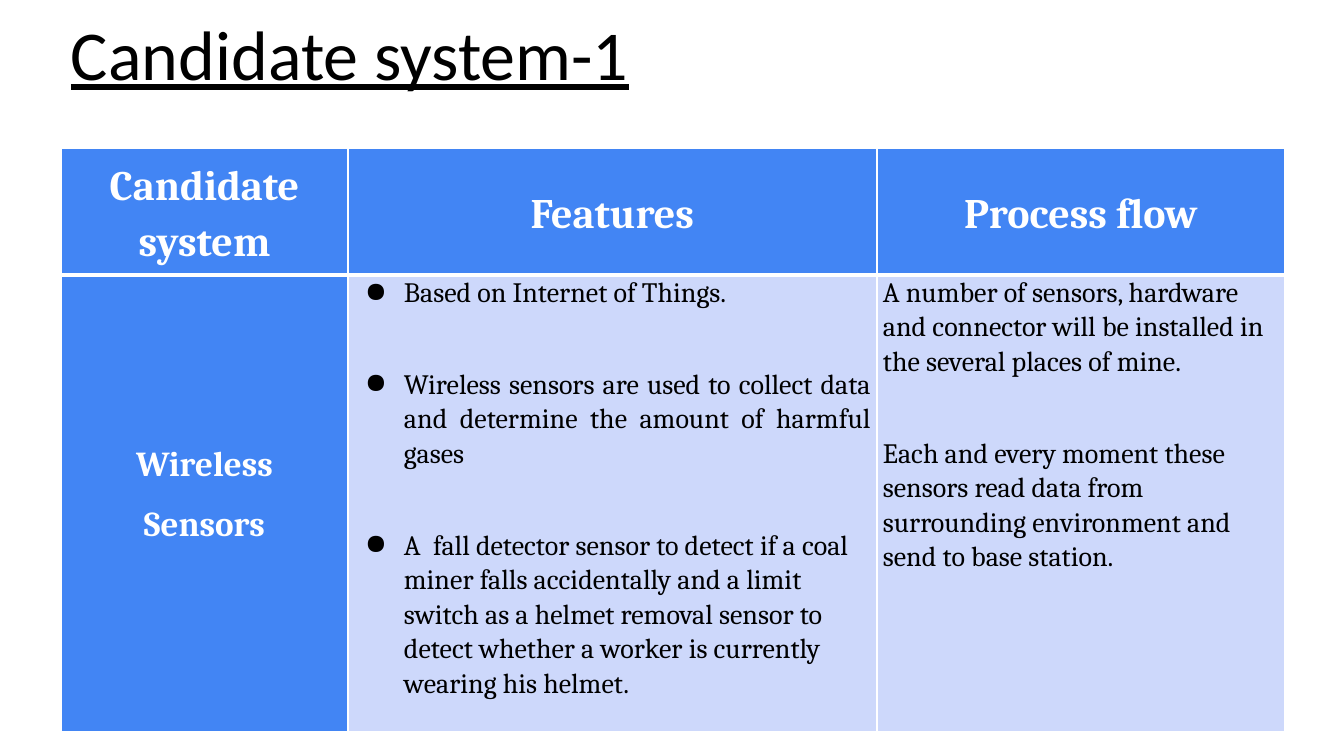
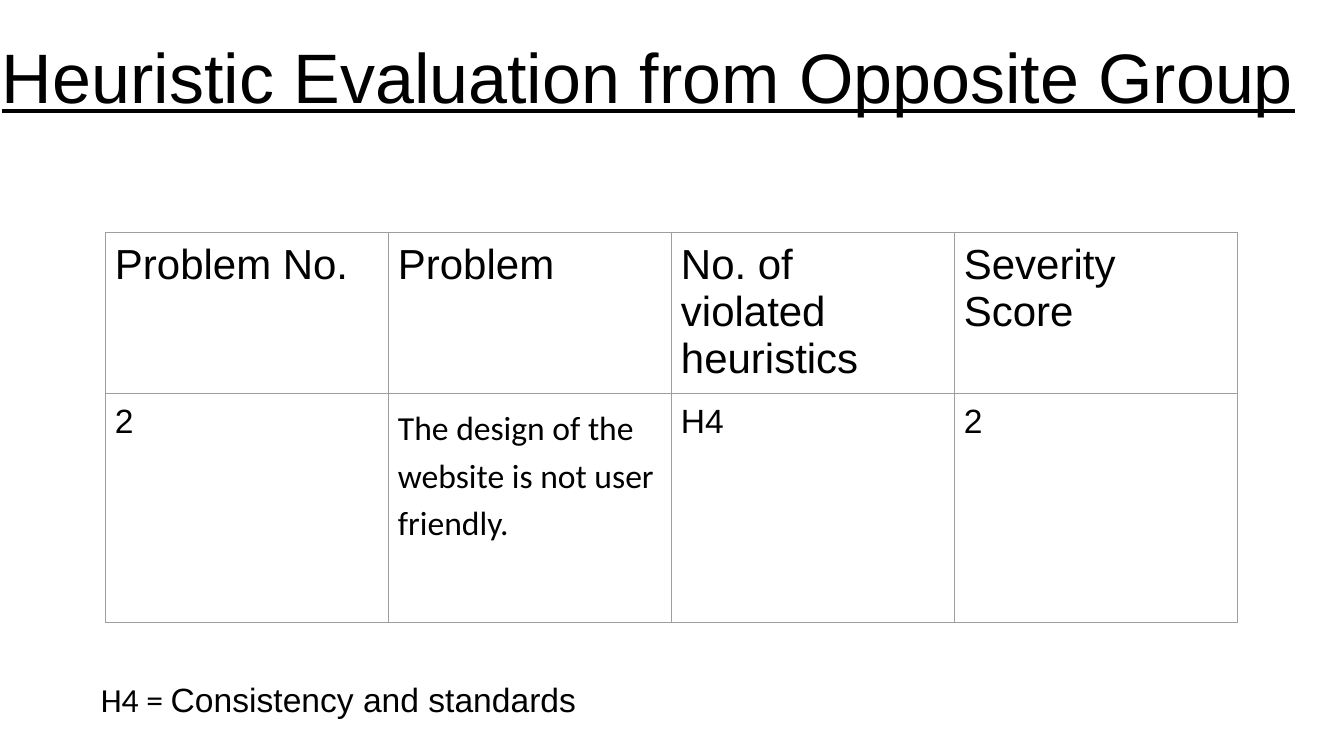
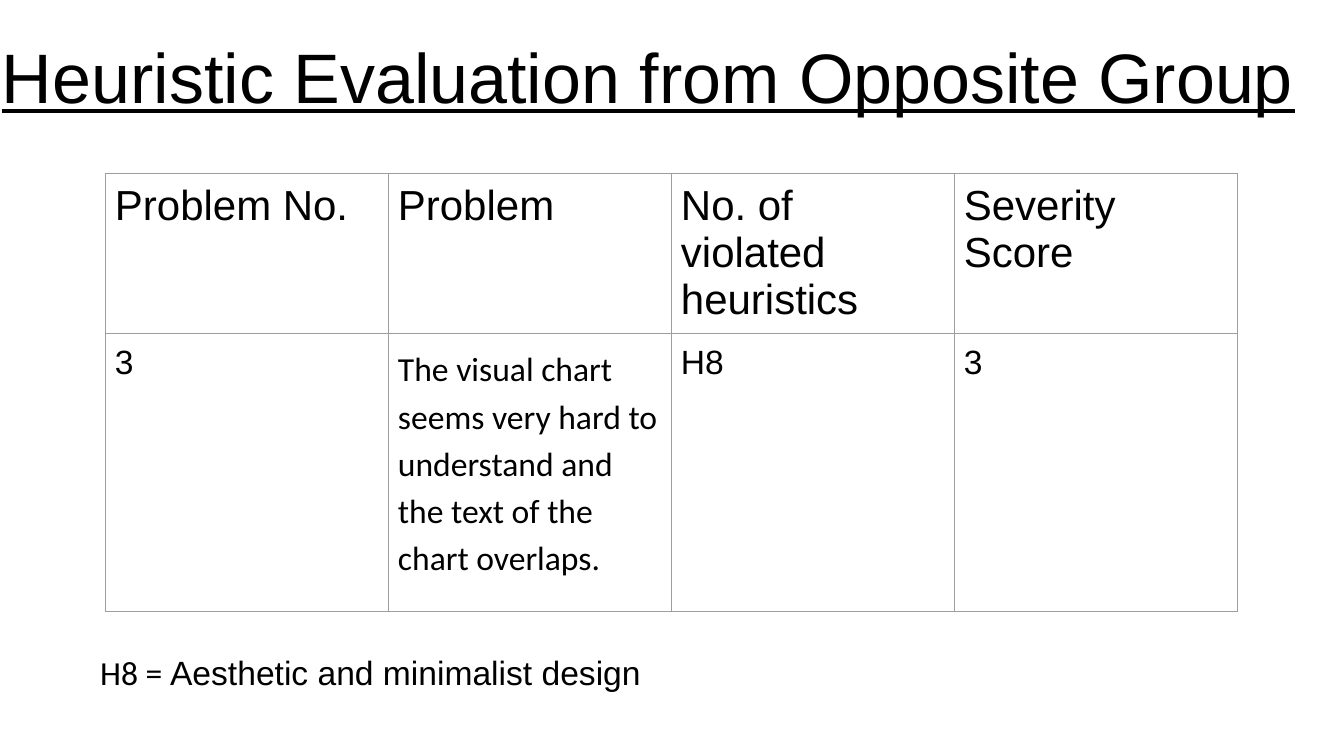
from dataclasses import dataclass

from lxml.etree import SubElement
from pptx import Presentation
from pptx.dml.color import RGBColor
from pptx.enum.text import MSO_ANCHOR, MSO_AUTO_SIZE, PP_ALIGN
from pptx.oxml.ns import qn
from pptx.util import Emu, Pt

WIDE, HIGH = 1344, 756
SCALE = 12192000 / WIDE
COLORS = {
    "black": "000000",
    "white": "FFFFFF",
    "blue": "4285F4",
    "pale": "CDD8FB",
    "gray": "9E9E9E",
}
LEFT, MID, JUST = PP_ALIGN.LEFT, PP_ALIGN.CENTER, PP_ALIGN.JUSTIFY


@dataclass(frozen=True)
class Run:
    text: str
    size: int
    font: str = "Arial"
    color: str = "black"
    bold: bool = False
    under: bool = False


@dataclass(frozen=True)
class Para:
    runs: tuple[Run, ...]
    align: PP_ALIGN = LEFT
    line: float = 1.0
    before: int = 0
    bullet: bool = False


@dataclass(frozen=True)
class Cell:
    paras: tuple[Para, ...]
    fill: str = ""
    anchor: MSO_ANCHOR = MSO_ANCHOR.TOP
    foot: int = 0


@dataclass(frozen=True)
class Edge:
    color: str
    width: float


@dataclass(frozen=True)
class Grid:
    left: int
    top: int
    cols: tuple[int, ...]
    rows: tuple[int, ...]
    pad: tuple[int, int]
    edge: Edge
    rule: Edge  # line under the header row


@dataclass(frozen=True)
class Issue:
    num: str
    text: str
    code: str
    score: str
    name: str
    top: int
    depth: int
    note: tuple[int, int, int, int]


def px(num: int) -> Emu:
    return Emu(round(num * SCALE))


def tint(key: str) -> RGBColor:
    return RGBColor.from_string(COLORS[key])


# Text
def add_dot(para) -> None:
    props = para._p.get_or_add_pPr()
    props.set("marL", str(px(50)))
    props.set("indent", str(px(-39)))
    color = SubElement(props, qn("a:buClr"))
    SubElement(color, qn("a:srgbClr")).set("val", COLORS["black"])
    SubElement(props, qn("a:buChar")).set("char", "●")


def write(frame, paras: tuple[Para, ...]) -> None:
    for i, item in enumerate(paras):
        para = frame.paragraphs[0] if i == 0 else frame.add_paragraph()
        if item.bullet:
            add_dot(para)
        para.alignment = item.align
        para.line_spacing = item.line
        para.space_before = Pt(item.before)
        for part in item.runs:
            run = para.add_run()
            run.text = part.text
            font = run.font
            font.name, font.size = part.font, Pt(part.size)
            font.bold, font.underline = part.bold, part.under
            font.color.rgb = tint(part.color)


def set_box(frame, pad: tuple[int, int], anchor: MSO_ANCHOR) -> None:
    frame.word_wrap = True
    frame.auto_size = MSO_AUTO_SIZE.NONE
    frame.vertical_anchor = anchor
    frame.margin_left = frame.margin_right = px(pad[0])
    frame.margin_top = frame.margin_bottom = px(pad[1])


def add_page(deck, text: str, font: str, box: tuple[int, int, int, int],
             anchor: MSO_ANCHOR):
    slide = deck.slides.add_slide(deck.slide_layouts[5])
    title = slide.shapes.title
    title.left, title.top, title.width, title.height = map(px, box)
    set_box(title.text_frame, (10, 5), anchor)
    write(title.text_frame, (Para((Run(text, 50, font, under=True),)),))
    return slide


# Tables
def add_edge(cell, side: str, edge: Edge, spot: int) -> None:
    props = cell._tc.get_or_add_tcPr()
    line = SubElement(props, qn(f"a:ln{side}"))
    line.set("w", str(Pt(edge.width)))
    fill = SubElement(line, qn("a:solidFill"))
    SubElement(fill, qn("a:srgbClr")).set("val", COLORS[edge.color])
    props.insert(spot, line)


def add_grid(slide, grid: Grid, cells: list[list[Cell]]) -> None:
    table = slide.shapes.add_table(
        len(grid.rows), len(grid.cols), px(grid.left), px(grid.top),
        px(sum(grid.cols)), px(sum(grid.rows))).table
    table.first_row = table.horz_banding = False
    for col, width in zip(table.columns, grid.cols):
        col.width = px(width)
    for row, height in zip(table.rows, grid.rows):
        row.height = px(height)
    for r, line in enumerate(cells):
        for c, item in enumerate(line):
            cell = table.cell(r, c)
            cell.margin_left = cell.margin_right = px(grid.pad[0])
            cell.margin_top = px(grid.pad[1])
            cell.margin_bottom = px(grid.pad[1] + item.foot)
            cell.vertical_anchor = item.anchor
            if item.fill:
                cell.fill.solid()
                cell.fill.fore_color.rgb = tint(item.fill)
            else:
                cell.fill.background()
            for spot, side in enumerate("LRTB"):
                ruled = (side, r) in (("B", 0), ("T", 1))
                add_edge(cell, side, grid.rule if ruled else grid.edge, spot)
            write(cell.text_frame, item.paras)


# Candidate slide
def serif(text: str, size: int = 20, **look) -> tuple[Run, ...]:
    return (Run(text, size, "Cambria", **look),)


def head(text: str) -> Cell:
    runs = serif(text, 30, color="white", bold=True)
    return Cell((Para(runs, MID, 1.15),), "blue", MSO_ANCHOR.MIDDLE)


def add_plan(deck) -> None:
    slide = add_page(deck, "Candidate system-1", "Calibri",
                     (61, 5, 859, 112), MSO_ANCHOR.TOP)
    names = tuple(
        Para(serif(word, 25, color="white", bold=True), MID, 1.07, gap)
        for word, gap in (("Wireless", 0), ("Sensors", 12)))
    traits = tuple(
        Para(serif(text), align, 1.07, gap, True)
        for text, align, gap in (
            ("Based on Internet of Things.", JUST, 0),
            ("Wireless sensors are used to collect data and determine the "
             "amount of harmful gases", JUST, 41),
            ("A  fall detector sensor to detect if a coal miner falls "
             "accidentally and a limit switch as a helmet removal sensor to "
             "detect whether a worker is currently wearing his helmet.",
             LEFT, 41)))
    steps = tuple(
        Para(serif(text), LEFT, 1.07, gap)
        for text, gap in (
            ("A number of sensors, hardware and connector will be installed "
             "in the several places of mine.", 0),
            ("Each and every moment these sensors read data from surrounding "
             "environment and send to base station.", 41)))
    grid = Grid(61, 148, (287, 529, 408), (127, 457), (6, 0),
                Edge("white", 1), Edge("white", 3))
    add_grid(slide, grid, [
        [head(text) for text in
         ("Candidate system", "Features", "Process flow")],
        [Cell(names, "blue", MSO_ANCHOR.MIDDLE, 20),
         Cell(traits, "pale"), Cell(steps, "pale")],
    ])


# Evaluation slides
def plain(text: str, size: int = 24, font: str = "Arial",
          line: float = 1.0) -> Cell:
    return Cell((Para((Run(text, size, font),), line=line),))


def add_issue(deck, issue: Issue) -> None:
    slide = add_page(deck, "Heuristic Evaluation from Opposite Group",
                     "Arial", (-8, 21, 1378, 109), MSO_ANCHOR.MIDDLE)
    edge = Edge("gray", 0.75)
    grid = Grid(105, issue.top, (283,) * 4, (161, issue.depth), (10, 10),
                edge, edge)
    add_grid(slide, grid, [
        [plain(text, 30) for text in
         ("Problem No.", "Problem", "No. of violated heuristics",
          "Severity Score")],
        [plain(issue.num), plain(issue.text, 24, "Calibri", 1.15),
         plain(issue.code), plain(issue.score)],
    ])
    note = slide.shapes.add_textbox(*map(px, issue.note)).text_frame
    set_box(note, (10, 10), MSO_ANCHOR.TOP)
    runs = (Run(f"{issue.code} = ", 24, "Calibri"), Run(issue.name, 24))
    write(note, (Para(runs, MID, 1.15),))


ISSUES = (
    Issue("2", "The design of the website is not user friendly.", "H4", "2",
          "Consistency and standards", 232, 230, (83, 663, 511, 61)),
    Issue("3", "The visual chart seems very hard to understand and the text "
          "of the chart overlaps.", "H8", "3",
          "Aesthetic and minimalist design", 173, 278, (51, 636, 639, 108)),
)


def main() -> None:
    deck = Presentation()
    deck.slide_width, deck.slide_height = px(WIDE), px(HIGH)
    add_plan(deck)
    for issue in ISSUES:
        add_issue(deck, issue)
    deck.save("out.pptx")


if __name__ == "__main__":
    main()
